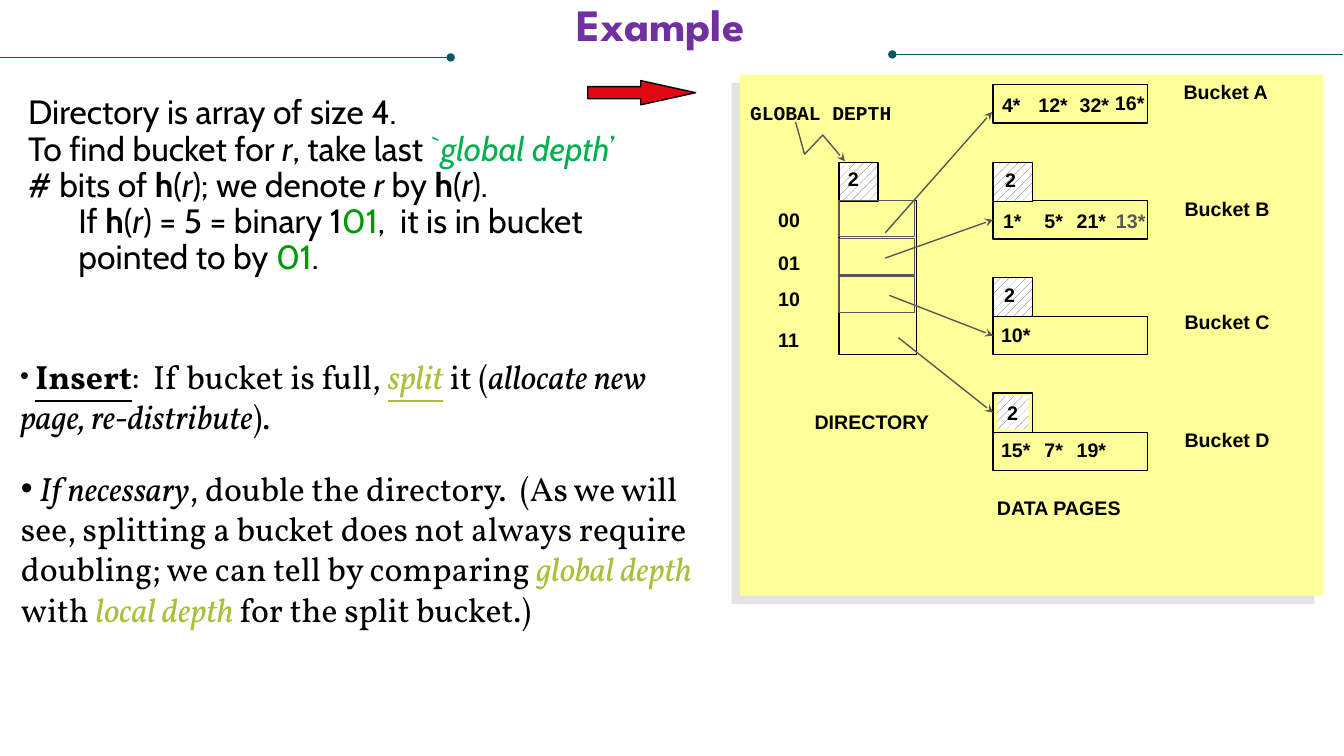
"""Build a slide on inserting into an extendible hashing directory."""
from lxml import etree
from pptx import Presentation
from pptx.dml.color import RGBColor
from pptx.enum import dml, shapes, text
from pptx.oxml import ns
from pptx.util import Inches, Pt

COLORS = {
    "black": "000000", "white": "FFFFFF", "grey": "585858", "purple": "7030A0",
    "yellow": "FFFF99", "shade": "E3E3E3", "red": "E20613", "teal": "085764",
    "green": "00B050", "bits": "009900", "lime": "A9C038",
}
RECT = shapes.MSO_SHAPE.RECTANGLE
STRAIGHT = shapes.MSO_CONNECTOR.STRAIGHT


def write(frame, runs, size=14, face="Arial", flags="", color="black",
          align=text.PP_ALIGN.LEFT, spacing=1.0, indent=0, bullet=None, grow=True, wrap=True):
    """Add a paragraph of (text, flags, color) runs, where flags hold b, i and u."""
    frame.word_wrap = wrap
    frame.auto_size = text.MSO_AUTO_SIZE.SHAPE_TO_FIT_TEXT if grow else text.MSO_AUTO_SIZE.NONE
    first = frame.paragraphs[0]
    paragraph = frame.add_paragraph() if first.runs else first
    paragraph.alignment = align
    paragraph.line_spacing = spacing
    properties = paragraph._p.get_or_add_pPr()
    properties.set("marL", str(Inches(indent)))
    properties.set("indent", "0")
    if bullet:
        etree.SubElement(properties, ns.qn("a:buSzPct"), val=str(bullet * 1000))
        etree.SubElement(properties, ns.qn("a:buFont"), typeface="Arial")
        etree.SubElement(properties, ns.qn("a:buChar"), char="•")
    for words, *style in runs:
        run_flags, run_color = (style + ["", color][len(style):])
        run = paragraph.add_run()
        run.text = words
        font = run.font
        font.size, font.name = Pt(size), face
        font.bold = "b" in flags + run_flags
        font.italic = "i" in run_flags
        font.underline = "u" in run_flags
        font.color.rgb = RGBColor.from_string(COLORS[run_color])


def style(shape, line=None, width=1, fill=None, head=None, tail=None):
    """Set outline, fill and line ends, and return the empty effect list."""
    if hasattr(shape, "fill"):
        if fill == "hatch":
            shape.fill.patterned()
            shape.fill.pattern = dml.MSO_PATTERN.PERCENT_20
            shape.fill.fore_color.rgb = RGBColor.from_string(COLORS["grey"])
            shape.fill.back_color.rgb = RGBColor.from_string(COLORS["white"])
        elif fill:
            shape.fill.solid()
            shape.fill.fore_color.rgb = RGBColor.from_string(COLORS[fill])
        else:
            shape.fill.background()
    if line:
        shape.line.color.rgb = RGBColor.from_string(COLORS[line])
        shape.line.width = Pt(width)
    else:
        shape.line.fill.background()
    outline = shape.line._get_or_add_ln()
    for tag, kind in (("a:headEnd", head), ("a:tailEnd", tail)):
        if kind:
            etree.SubElement(outline, ns.qn(tag), type=kind)
    return etree.SubElement(shape.element.spPr, ns.qn("a:effectLst"))


prs = Presentation()
prs.slide_width, prs.slide_height = Inches(13.33), Inches(7.5)
slide = prs.slides.add_slide(prs.slide_layouts[5])
parts = slide.shapes

title = parts.title
title.left, title.top, title.width, title.height = map(Inches, (0.8, -0.01, 11.5, 0.55))
title.text_frame.vertical_anchor = text.MSO_ANCHOR.MIDDLE
write(title.text_frame, [("Example",)], size=32, face="League Spartan", flags="b",
      color="purple", align=text.PP_ALIGN.CENTER, spacing=0.9, grow=False)

panel = parts.add_shape(RECT, *map(Inches, (7.34, 0.74, 5.78, 5.17)))
effects = style(panel, fill="yellow")
shadow = etree.SubElement(effects, ns.qn("a:outerShdw"), blurRad="0", dist=str(Pt(8.5)),
                          dir=str(135 * 60000), algn="ctr", rotWithShape="0")
etree.SubElement(shadow, ns.qn("a:srgbClr"), val=COLORS["shade"])

intro = parts.add_textbox(*map(Inches, (0.18, 0.9, 6.08, 2.75))).text_frame
write(intro, [
    ("Directory is array of size 4.",),
], size=24, face="Cabin", spacing=0.9, grow=False)
write(intro, [
    ("To find bucket for ",), ("r", "i"), (", take last ",), ("`", "", "green"),
    ("global depth", "i", "green"), ("’ ", "", "green"), ("# bits of ",), ("h", "b"),
    ("(",), ("r", "i"), ("); we denote ",), ("r", "i"), (" by ",), ("h", "b"),
    ("(",), ("r", "i"), (").",),
], size=24, face="Cabin", spacing=0.9, grow=False)
write(intro, [
    ("If ",), ("h", "b"), ("(",), ("r", "i"), (") = 5 = binary 1",), ("01", "", "bits"),
    (",  it is in bucket pointed to by ",), ("01", "", "bits"), (".",),
], size=24, face="Cabin", spacing=0.9, indent=0.5, grow=False)

insert_rule = parts.add_textbox(*map(Inches, (0.1, 3.48, 6.85, 0.91))).text_frame
write(insert_rule, [
    (" ",), ("Insert", "bu"), (":  If bucket is full, ",), ("split", "iu", "lime"),
    (" it (",), ("allocate new page, re-distribute", "i"), (").",),
], size=24, face="Vollkorn", bullet=75)

doubling_rule = parts.add_textbox(*map(Inches, (0.11, 4.59, 7.02, 2.12))).text_frame
write(doubling_rule, [
    (" ",), ("If necessary", "i"),
    (", double the directory.  (As we will see, splitting a bucket does not always "
     "require doubling; we can tell by comparing ",),
    ("global depth ", "i", "lime"), ("with ",), ("local depth ", "i", "lime"),
    ("for the split bucket.)",),
], size=24, face="Vollkorn", bullet=100)

pointer = parts.add_shape(shapes.MSO_SHAPE.RIGHT_ARROW, *map(Inches, (5.83, 0.8, 1.07, 0.24)))
pointer.adjustments[0], pointer.adjustments[1] = 0.5, 2.266
style(pointer, line="black", fill="red")

pages = []
for row in range(4):
    page = parts.add_shape(RECT, *map(Inches, (9.85, 0.84 + 1.15 * row, 1.53, 0.38)))
    style(page, line="black")
    pages.append(page)

depths = []
for x, y, fill in ((8.32, 1.61, "hatch"), (9.85, 1.61, "hatch"),
                   (9.85, 2.75, "hatch"), (9.85, 3.9, None)):
    depth = parts.add_shape(RECT, *map(Inches, (x, y, 0.39, 0.39)))
    style(depth, line="black", fill=fill)
    depths.append(depth)

directory = parts.add_shape(RECT, *map(Inches, (8.32, 1.99, 0.77, 1.53)))
style(directory, line="black")
for row in range(3):
    entry = parts.add_shape(RECT, *map(Inches, (8.32, 1.99 + 0.375 * row, 0.75, 0.36)))
    style(entry, line="grey")

depth_d = parts.add_shape(RECT, *map(Inches, (9.89, 3.93, 0.31, 0.33)))
style(depth_d, fill="hatch")
depth_d.text_frame.vertical_anchor = text.MSO_ANCHOR.TOP
write(depth_d.text_frame, [("2",)], flags="b", wrap=False)

labels = [
    ("00", 7.62, 2.01, 0.42), ("01", 7.62, 2.44, 0.42),
    ("10", 7.62, 2.8, 0.42), ("11", 7.62, 3.2, 0.41),
    ("2", 8.31, 1.61, 0.31), ("2", 9.87, 1.62, 0.31), ("2", 9.86, 2.76, 0.31),
    ("GLOBAL DEPTH", 7.34, 0.95, 1.61), ("DIRECTORY", 7.98, 4.02, 1.35),
    ("DATA PAGES", 9.79, 4.87, 1.44),
    ("Bucket A", 11.64, 0.74, 1.04), ("Bucket B", 11.65, 1.9, 1.05),
    ("Bucket C", 11.65, 3.03, 1.05), ("Bucket D", 11.65, 4.2, 1.05),
    ("4*", 9.84, 0.87, 0.39), ("12*", 10.2, 0.87, 0.49),
    ("32*", 10.61, 0.87, 0.49), ("16*", 10.96, 0.85, 0.49),
    ("1*", 9.85, 2.02, 0.39), ("5*", 10.26, 2.02, 0.39),
    ("21*", 10.58, 2.02, 0.49), ("13*", 10.97, 2.02, 0.49),
    ("10*", 9.83, 3.15, 0.49),
    ("15*", 9.83, 4.3, 0.49), ("7*", 10.26, 4.3, 0.39), ("19*", 10.58, 4.3, 0.49),
]
for words, x, y, width in labels:
    label = parts.add_textbox(*map(Inches, (x, y, width, 0.33)))
    write(label.text_frame, [(words,)], flags="b", wrap=False,
          face="Courier New" if words == "GLOBAL DEPTH" else "Arial",
          color="grey" if words == "13*" else "black")

zigzag = parts.build_freeform(Inches(7.89), Inches(1.21))
zigzag.add_line_segments([(Inches(x), Inches(y)) for x, y in
                          ((7.98, 1.53), (8.16, 1.34), (8.38, 1.6))], close=False)
style(zigzag.convert_to_shape(), line="grey", tail="stealth")

for start_x, start_y, end_x, end_y, target in (
        (8.78, 2.31, 9.84, 1.11, None), (8.78, 2.56, 9.85, 2.18, pages[1]),
        (8.82, 2.93, 9.85, 3.33, pages[2]), (8.91, 3.35, 9.85, 4.1, depths[3])):
    link = parts.add_connector(STRAIGHT, *map(Inches, (start_x, start_y, end_x, end_y)))
    if target:
        link.end_connect(target, 1)
    style(link, line="grey", tail="stealth")

for start_x, end_x, y, ends in ((8.85, 13.32, 0.54, {"head": "oval"}),
                                (0, 4.47, 0.57, {"tail": "oval"})):
    rule = parts.add_connector(STRAIGHT, *map(Inches, (start_x, y, end_x, y)))
    style(rule, line="teal", width=0.5, **ends)

prs.save("out.pptx")
